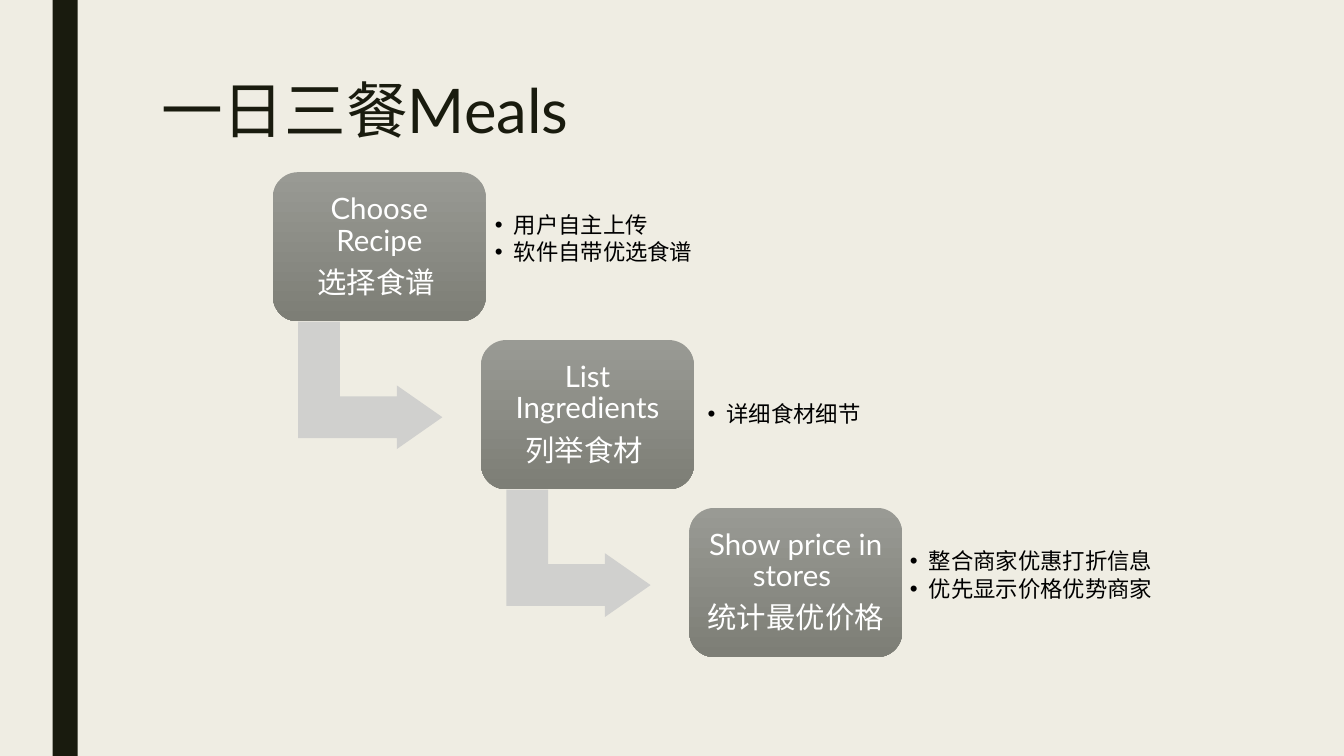
from lxml import etree
from pptx import Presentation
from pptx.dml.color import RGBColor
from pptx.enum import shapes, text
from pptx.oxml import ns
from pptx.util import Pt

CREAM = RGBColor(0xEF, 0xED, 0xE3)
INK = RGBColor(0x19, 0x1B, 0x0E)
ARROW_GREY = RGBColor(0xD0, 0xD0, 0xCE)
CARD_TOP = RGBColor(0x99, 0x9A, 0x94)
CARD_BOTTOM = RGBColor(0x7D, 0x7E, 0x76)
WHITE = RGBColor(0xFF, 0xFF, 0xFF)
BLACK = RGBColor(0, 0, 0)

STEPS = [
    (["Choose Recipe", "选择食谱 "],
     ["用户自主上传", "软件自带优选食谱"], (347, 128, 205), 6.5),
    (["List Ingredients", "列举食材 "],
     ["详细食材细节"], (499, 253.5, 206.5), 6.5),
    (["Show price in stores ", "统计最优价格"],
     ["整合商家优惠打折信息", "优先显示价格优势商家"], (645, 368.5, 255), 5),
]
CARD_LEFT, CARD_TOP_EDGE = 195, 123
STEP_RIGHT, STEP_DOWN = 148.7, 119.9


def add_plain_shape(kind, left, top, width, height):
    shape = page.shapes.add_shape(kind, Pt(left), Pt(top), Pt(width), Pt(height))
    shape.shadow.inherit = False
    shape.line.fill.background()
    return shape


def write_lines(box, lines, size, color, after, margin, align, bulleted=False):
    frame = box.text_frame
    frame.word_wrap = True
    frame.auto_size = text.MSO_AUTO_SIZE.NONE
    frame.vertical_anchor = text.MSO_ANCHOR.MIDDLE
    frame.margin_left = frame.margin_right = Pt(margin)
    frame.margin_top = frame.margin_bottom = Pt(margin)
    frame.text = "\n".join(lines)
    for para in frame.paragraphs:
        para.alignment = align
        para.line_spacing = 0.9
        para.space_before = Pt(0)
        para.space_after = Pt(after)
        if bulleted:
            properties = para._p.get_or_add_pPr()
            properties.set("marL", str(Pt(13.5)))
            properties.set("indent", str(-Pt(13.5)))
            etree.SubElement(properties, ns.qn("a:buChar")).set("char", "•")
        para.font.name = "Lato"
        para.font.size = Pt(size)
        para.font.bold = False
        para.font.color.rgb = color


deck = Presentation()
deck.slide_width, deck.slide_height = Pt(960), Pt(540)
page = deck.slides.add_slide(deck.slide_layouts.get_by_name("Comparison"))
page.background.fill.solid()
page.background.fill.fore_color.rgb = CREAM

stripe = add_plain_shape(shapes.MSO_SHAPE.RECTANGLE, 37.5, 0, 18, 540)
stripe.fill.solid()
stripe.fill.fore_color.rgb = INK

title = page.shapes.title
title.left, title.top, title.width, title.height = Pt(108), Pt(54), Pt(756), Pt(116.5)
title.text_frame.text = "一日三餐Meals"
title.text_frame.vertical_anchor = text.MSO_ANCHOR.TOP
heading = title.text_frame.paragraphs[0]
heading.alignment = text.PP_ALIGN.LEFT
heading.line_spacing = 0.89
heading.font.name = "Lato"
heading.font.size = Pt(44)
heading.font.color.rgb = INK

bodies = [box for box in page.placeholders if box != title and box.shape_id != title.shape_id]
spare = bodies.pop()
spare._element.getparent().remove(spare._element)

for index, (labels, details, (left, top, width), margin) in enumerate(STEPS):
    card_left = CARD_LEFT + index * STEP_RIGHT
    card_top = CARD_TOP_EDGE + index * STEP_DOWN

    if index < len(STEPS) - 1:
        arrow = add_plain_shape(shapes.MSO_SHAPE.BENT_UP_ARROW,
                                card_left + 24, card_top + 100.8, 91, 103)
        arrow.rotation = 90
        for position, value in enumerate((0.328, 0.25, 0.358)):
            arrow.adjustments[position] = value
        arrow.fill.solid()
        arrow.fill.fore_color.rgb = ARROW_GREY

    card = add_plain_shape(shapes.MSO_SHAPE.ROUNDED_RECTANGLE,
                           card_left, card_top, 152, 106.5)
    card.fill.gradient()
    card.fill.gradient_angle = 270
    for stop, color in zip(card.fill.gradient_stops, (CARD_TOP, CARD_BOTTOM)):
        stop.color.rgb = color
    write_lines(card, labels, 21, WHITE, 7.35, 6.5, text.PP_ALIGN.CENTER)

    body = bodies[index]
    body.left, body.top, body.width, body.height = Pt(left), Pt(top), Pt(width), Pt(86.4)
    write_lines(body, details, 16, BLACK, 2.4, margin, text.PP_ALIGN.LEFT, bulleted=True)

deck.save("out.pptx")
